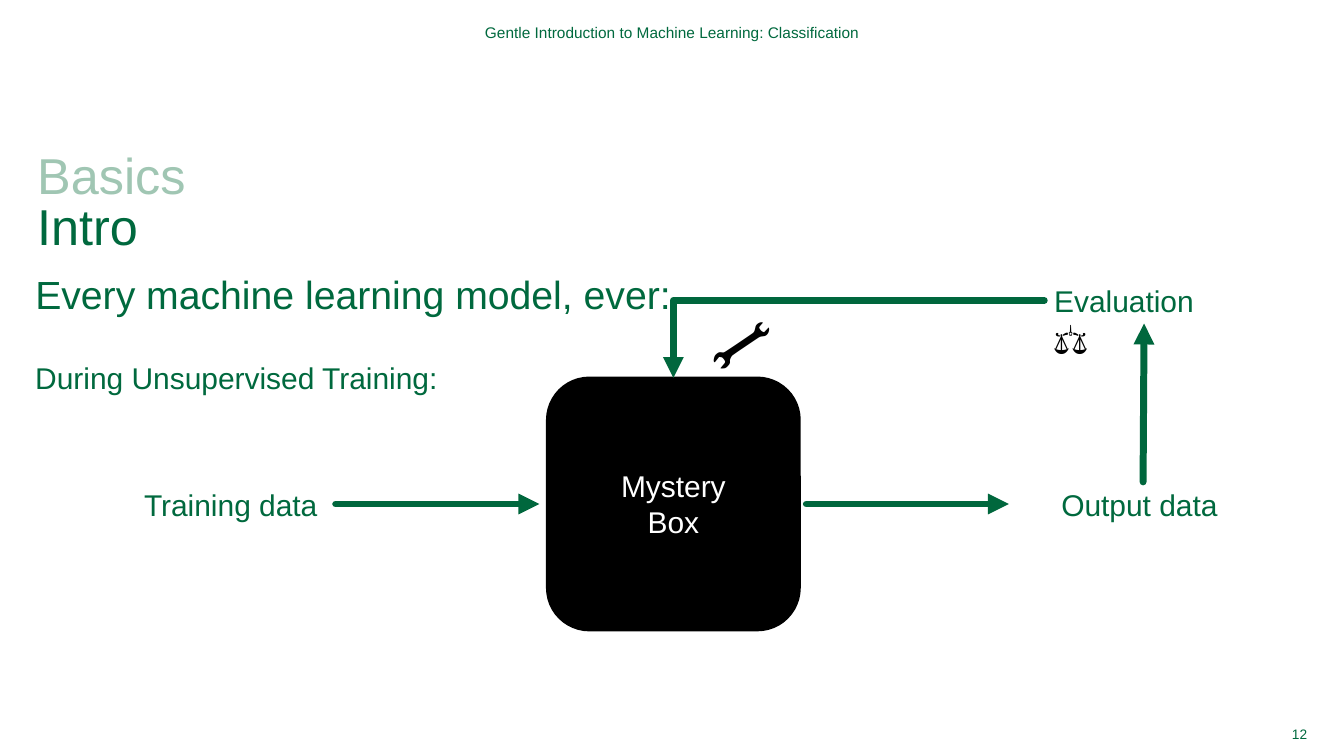
from lxml import etree
from pptx import Presentation
from pptx.dml.color import RGBColor
from pptx.enum import shapes, text
from pptx.oxml import ns
from pptx.util import Pt

GREEN, ARROW_GREEN, PALE, BLACK, WHITE = "00693E", "00673D", "A0C6B3", "000000", "FFFFFF"
LEFT, CENTER, RIGHT = text.PP_ALIGN.LEFT, text.PP_ALIGN.CENTER, text.PP_ALIGN.RIGHT
TOP, MIDDLE = text.MSO_ANCHOR.TOP, text.MSO_ANCHOR.MIDDLE
LABEL_SIZE = 21.4
FLOW_Y = 360


def colour(value):
    return RGBColor.from_string(value)


def place(shape, left, top, width, height):
    shape.left, shape.top, shape.width, shape.height = map(Pt, (left, top, width, height))


def write(shape, spans, size=LABEL_SIZE, align=LEFT, anchor=TOP, insets=(7.2, 3.6, 7.2, 3.6),
          wrap=True, spacing=1.0, around=0):
    """Fill a shape with one paragraph of (text, colour) spans; "\\n" is a line break."""
    frame = shape.text_frame
    frame.word_wrap = wrap
    frame.auto_size = text.MSO_AUTO_SIZE.NONE
    frame.vertical_anchor = anchor
    (frame.margin_left, frame.margin_top,
     frame.margin_right, frame.margin_bottom) = map(Pt, insets)
    para = frame.paragraphs[0]
    para.alignment = align
    para.line_spacing = spacing
    para.space_before, para.space_after = Pt(0), Pt(around)
    for words, shade in spans:
        for number, line in enumerate(words.split("\n")):
            if number:
                para.add_line_break()
            if line:
                span = para.add_run()
                span.text = line
                span.font.name = "Arial"
                span.font.size = Pt(size)
                span.font.color.rgb = colour(shade)
    return para


def add_label(parent, words, left, top, width, height, shade=GREEN, **style):
    box = parent.add_textbox(*map(Pt, (left, top, width, height)))
    write(box, [(words, shade)], **style)
    return box


def add_arrow(parent, start, end, bent=False):
    kind = shapes.MSO_CONNECTOR.ELBOW if bent else shapes.MSO_CONNECTOR.STRAIGHT
    arrow = parent.add_connector(kind, *map(Pt, (*start, *end)))
    arrow.line.color.rgb = colour(ARROW_GREEN)
    arrow.line.width = Pt(5)
    properties = arrow._element.spPr
    if bent:
        properties.find(ns.qn("a:prstGeom")).set("prst", "bentConnector2")
    line = properties.find(ns.qn("a:ln"))
    line.set("cap", "rnd")
    etree.SubElement(line, ns.qn("a:tailEnd"), type="triangle")
    etree.SubElement(properties, ns.qn("a:effectLst"))


def add_headings(page):
    title, body = page.shapes.title, page.placeholders[1]
    place(title, 26.6, 109.4, 909.4, 72.7)
    write(title, [("Basics\n", PALE), ("Intro", GREEN)], size=36, insets=(0,) * 4, spacing=0.85)
    place(body, 25.2, 186.5, 909.4, 324.7)
    para = write(body, [("Every machine learning model, ever:", GREEN)], size=28,
                 insets=(0,) * 4, spacing=1.2, around=6)
    settings = para._p.get_or_add_pPr()
    settings.set("marL", "0")
    settings.set("indent", "0")
    etree.SubElement(settings, ns.qn("a:buNone"))


def add_mystery_box(page):
    box = page.shapes.add_shape(shapes.MSO_SHAPE.ROUNDED_RECTANGLE,
                                *map(Pt, (391, 270, 180, 180)))
    box.shadow.inherit = False
    box.fill.solid()
    box.fill.fore_color.rgb = colour(BLACK)
    box.line.color.rgb = colour(BLACK)
    box.line.width = Pt(2)
    write(box, [("Mystery\nBox", WHITE)], align=CENTER, anchor=MIDDLE)


def add_flow_step(page, words, label_left, label_width, arrow_from, arrow_to):
    """Group a data label with its horizontal arrow."""
    parent = page.shapes.add_group_shape().shapes
    add_arrow(parent, (arrow_from, FLOW_Y), (arrow_to, FLOW_Y))
    add_label(parent, words, label_left, FLOW_Y - 16.2, label_width, 33.1, wrap=False)


def add_feedback(page):
    add_arrow(page.shapes, (816.5, 344.2), (817.2, 231.1))
    evaluation = page.shapes.add_textbox(*map(Pt, (745.9, 198, 130, 33.1)))
    write(evaluation, [("Evaluation ", GREEN), ("⚖️", BLACK)])
    add_arrow(page.shapes, (745.9, 214.6), (481, 270), bent=True)
    wrench = add_label(page.shapes, "🔧", 491, 209.5, 72.7, 55.4, shade=BLACK, size=40)
    wrench.rotation = 277.4


def main():
    deck = Presentation()
    deck.slide_width, deck.slide_height = Pt(960), Pt(540)
    page = deck.slides.add_slide(deck.slide_layouts[1])
    add_headings(page)
    add_label(page.shapes, "Gentle Introduction to Machine Learning: Classification",
              187.9, 14.4, 584.6, 17.3, size=11, align=CENTER, anchor=MIDDLE, insets=(0,) * 4)
    add_label(page.shapes, "12", 892.8, 515.5, 41, 17.3,
              size=9.8, align=RIGHT, anchor=MIDDLE, insets=(0,) * 4)
    add_mystery_box(page)
    add_flow_step(page, "Training data", 95.8, 141.1, 239.8, 385.2)
    add_flow_step(page, "Output data", 751, 131.8, 576, 720.7)
    add_label(page.shapes, "During Unsupervised Training:", 25.2, 253.4, 304.6, 33.1,
              insets=(0, 3.6, 7.2, 3.6), wrap=False)
    add_feedback(page)
    deck.save("out.pptx")


if __name__ == "__main__":
    main()
